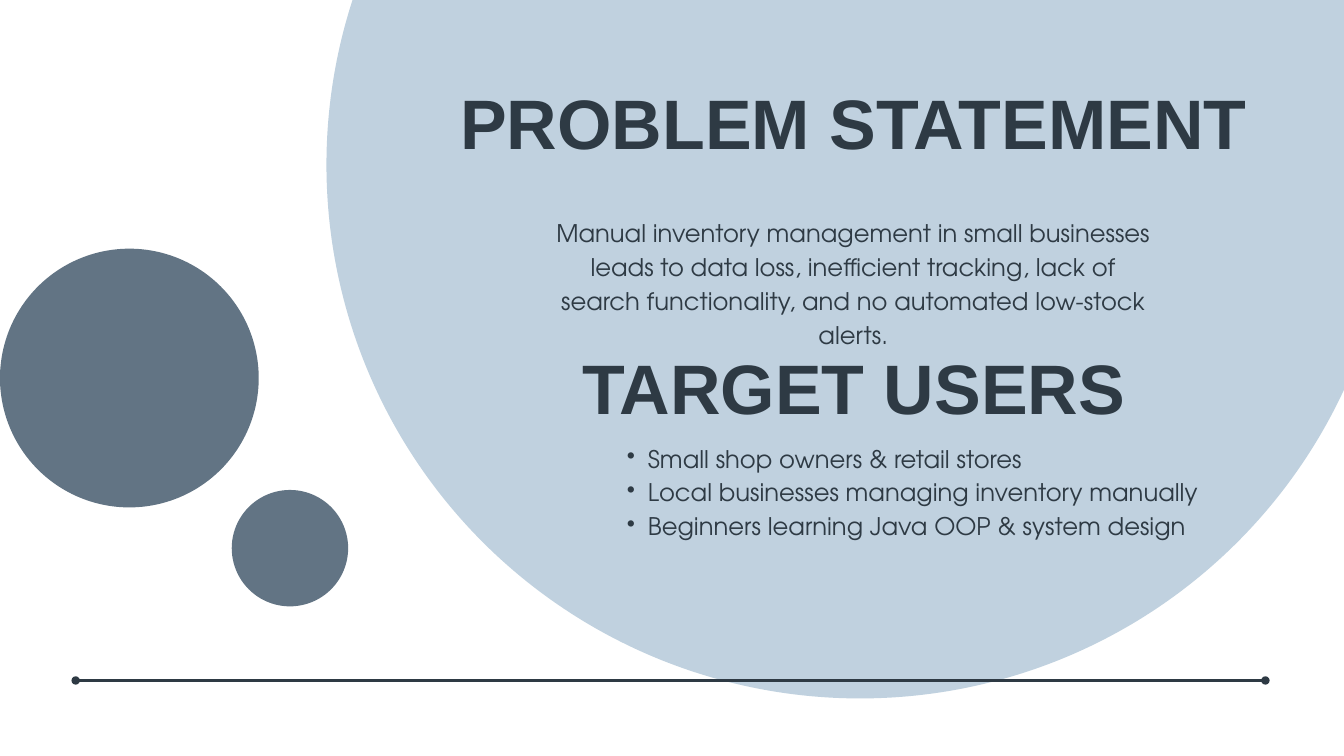
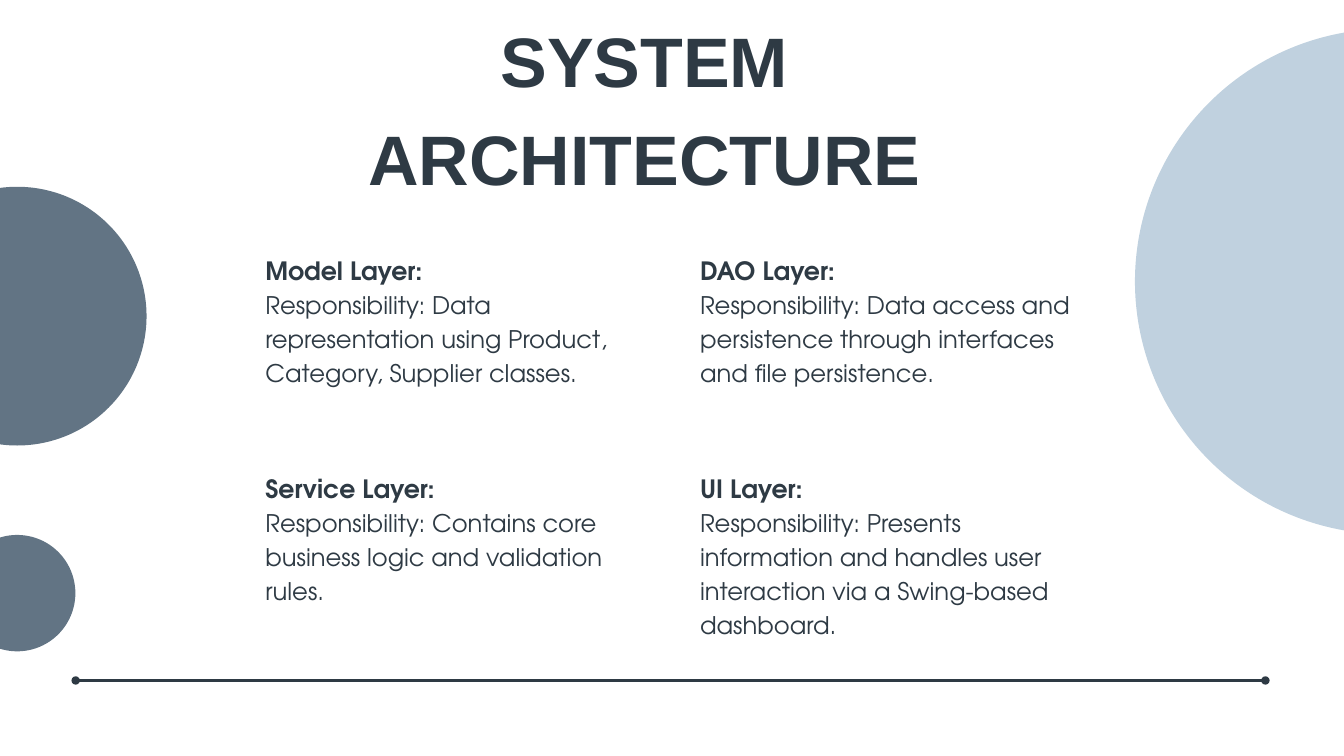
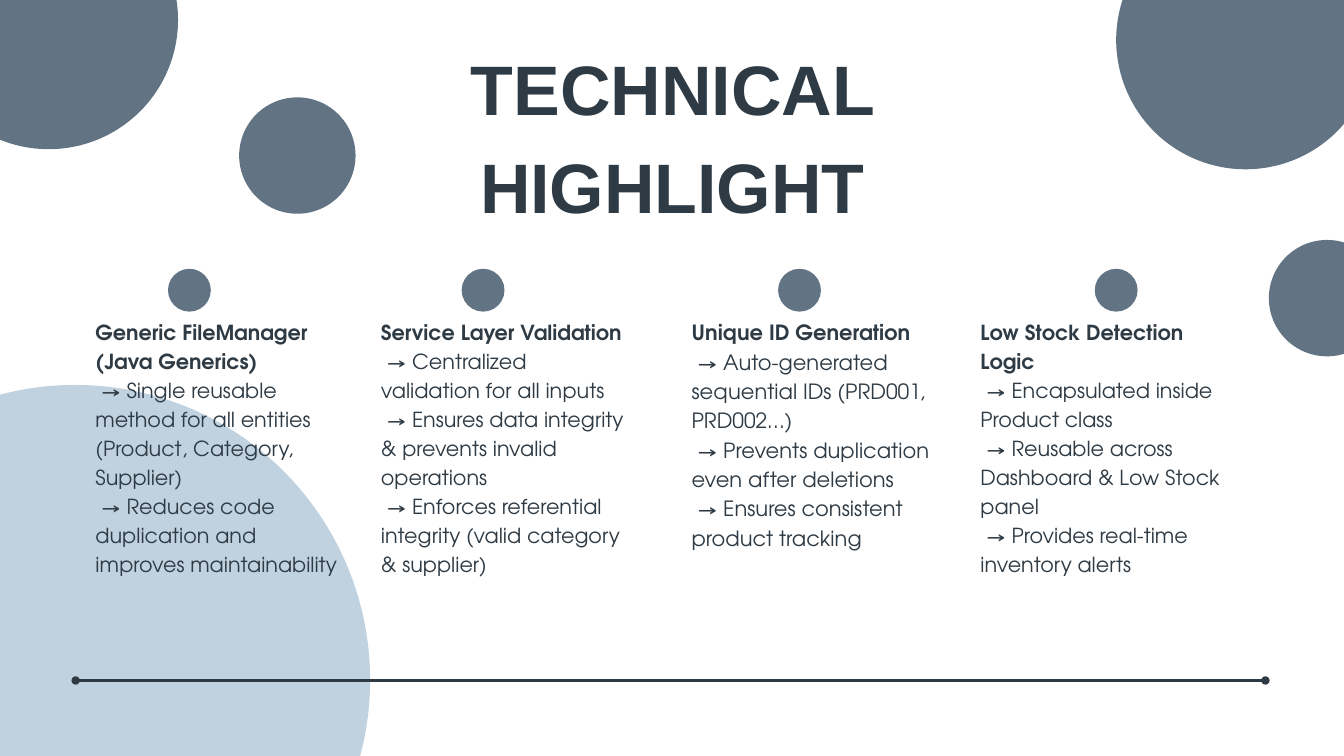
from dataclasses import dataclass

from lxml.etree import SubElement
from pptx import Presentation
from pptx.dml.color import RGBColor
from pptx.enum.shapes import MSO_CONNECTOR, MSO_SHAPE
from pptx.enum.text import MSO_AUTO_SIZE, PP_ALIGN
from pptx.oxml.ns import qn
from pptx.util import Cm, Pt


@dataclass(frozen=True)
class Theme:
    ink: RGBColor = RGBColor(0x2E, 0x3A, 0x44)
    slate: RGBColor = RGBColor(0x62, 0x74, 0x84)
    pale: RGBColor = RGBColor(0xC0, 0xD1, 0xDF)
    # Type styles: font, size, line spacing, bold
    title: tuple = ("Arial", 75, 105, True)
    head: tuple = ("TeX Gyre Adventor", 27, 37.8, True)
    body: tuple = ("TeX Gyre Adventor", 26, 36.4, False)
    # Sizes of the recurring circles
    mid: float = 9.78
    small: float = 4.4
    dot: float = 1.62


theme = Theme()


def add_disc(slide, left, top, size, color=theme.slate):
    disc = slide.shapes.add_shape(
        MSO_SHAPE.OVAL, Cm(left), Cm(top), Cm(size), Cm(size))
    disc.shadow.inherit = False
    disc.fill.solid()
    disc.fill.fore_color.rgb = color
    disc.line.fill.background()


def add_text(slide, box, parts, align=PP_ALIGN.LEFT, bullet=False):
    """Write (text, style) parts as paragraphs in a box given in cm."""
    frame = slide.shapes.add_textbox(*map(Cm, box)).text_frame
    frame.margin_left = frame.margin_right = 0
    frame.margin_top = frame.margin_bottom = 0
    frame.word_wrap = True
    frame.auto_size = MSO_AUTO_SIZE.SHAPE_TO_FIT_TEXT
    for i, (text, style) in enumerate(parts):
        para = frame.paragraphs[0] if i == 0 else frame.add_paragraph()
        para.text = text
        para.alignment = align
        name, size, lead, bold = style
        para.line_spacing = Pt(lead)
        if bullet:
            para.level = 1
            props = para._p.get_or_add_pPr()
            props.set("marL", str(Cm(1.55)))
            props.set("indent", str(Cm(-0.79)))
            SubElement(props, qn("a:buChar"), char="•")
        para.font.name = name
        para.font.size = Pt(size)
        para.font.bold = bold
        para.font.color.rgb = theme.ink


deck = Presentation()
deck.slide_width = Cm(50.8)
deck.slide_height = deck.slide_width * 9 // 16

# Circles of each slide: left, top, size, colour
scenes = [
    [(12.34, -13.94, 40.34, theme.pale),
     (0, 9.4, theme.mid),
     (8.76, 18.52, theme.small)],
    [(42.9, 1.09, 19.1, theme.pale),
     (-4.24, 7.06, theme.mid),
     (-1.55, 20.22, theme.small)],
    [(42.19, -3.38, theme.mid),
     (-8.31, 14.55, 22.3, theme.pale),
     (47.96, 9.07, theme.small),
     (-3.05, -4.14, theme.mid),
     (9.04, 3.68, theme.small)],
]

# Titles of each slide: text and box
titles = [
    [("PROBLEM STATEMENT", (16.71, 2.46, 31.12, 4.17)),
     ("TARGET USERS", (16.71, 12.5, 31.12, 4.17))],
    [("SYSTEM ARCHITECTURE", (12.78, 0.13, 23.16, 7.85))],
    [("TECHNICAL HIGHLIGHT", (12.07, 1.19, 26.7, 7.85))],
]

# Shared look: circles, base line with round ends, titles
for discs, heads in zip(scenes, titles):
    slide = deck.slides.add_slide(deck.slide_layouts[6])
    for disc in discs:
        add_disc(slide, *disc)
    base = slide.shapes.add_connector(
        MSO_CONNECTOR.STRAIGHT, Cm(2.86), Cm(25.72), Cm(47.83), Cm(25.72))
    base.line.color.rgb = theme.ink
    base.line.width = Pt(3)
    for end in ("a:headEnd", "a:tailEnd"):
        SubElement(base.line._get_or_add_ln(), qn(end), type="oval")
    SubElement(base._element.spPr, qn("a:effectLst"))
    for text, box in heads:
        add_text(slide, box, [(text, theme.title)], PP_ALIGN.CENTER)

problem, system, tech = deck.slides

# Problem and users
add_text(problem, (20.85, 8.08, 22.81, 3.76), [
    ("Manual inventory management in small businesses leads to data loss, "
     "inefficient tracking, lack of search functionality, and no automated "
     "low-stock alerts.", theme.body)], PP_ALIGN.CENTER)
users = [
    "Small shop owners & retail stores",
    "Local businesses managing inventory manually",
    "Beginners learning Java OOP & system design",
]
add_text(problem, (22.94, 16.59, 22.81, 5.03),
         [(user, theme.body) for user in users], PP_ALIGN.JUSTIFY, bullet=True)

# Layers in a two by two grid: name, duty, box height
layers = [
    ("Model Layer:", "Data representation using Product, Category, "
     "Supplier classes.", 5.08),
    ("DAO Layer:", "Data access and persistence through interfaces "
     "and file persistence.", 5.08),
    ("Service Layer:", "Contains core business logic and validation "
     "rules.", 3.81),
    ("UI Layer:", "Presents information and handles user interaction "
     "via a Swing-based dashboard.", 6.35),
]
for i, (name, duty, high) in enumerate(layers):
    row, col = divmod(i, 2)
    add_text(system, (10.03 + 16.43 * col, 9.47 + 8.23 * row, 14.33, high),
             [(name, theme.head), (f"Responsibility: {duty}", theme.body)])

# Highlights: dot left, text left, width, height, size, spacing, name, points
columns = [
    (6.35, 3.61, 9.32, 9.75, 22.2, 31.1,
     "Generic FileManager (Java Generics)",
     ["Single reusable method for all entities (Product, Category, Supplier)",
      "Reduces code duplication and improves maintainability"]),
    (17.45, 14.4, 9.32, 9.75, 22.2, 31.1,
     "Service Layer Validation",
     ["Centralized validation for all inputs",
      "Ensures data integrity & prevents invalid operations",
      "Enforces referential integrity (valid category & supplier)"]),
    (29.41, 26.14, 9.42, 8.76, 22.5, 31.4,
     "Unique ID Generation",
     ["Auto-generated sequential IDs (PRD001, PRD002…)",
      "Prevents duplication even after deletions",
      "Ensures consistent product tracking"]),
    (41.38, 37.06, 9.32, 9.75, 22.2, 31.1,
     "Low Stock Detection Logic",
     ["Encapsulated inside Product class",
      "Reusable across Dashboard & Low Stock panel",
      "Provides real-time inventory alerts"]),
]
for spot, left, wide, high, size, lead, name, points in columns:
    add_disc(tech, spot, 10.16, theme.dot)
    font = theme.body[0]
    parts = [(name, (font, size, lead, True))]
    parts += [(f" → {point}", (font, size, lead, False)) for point in points]
    add_text(tech, (left, 11.94, wide, high), parts)

deck.save("out.pptx")
